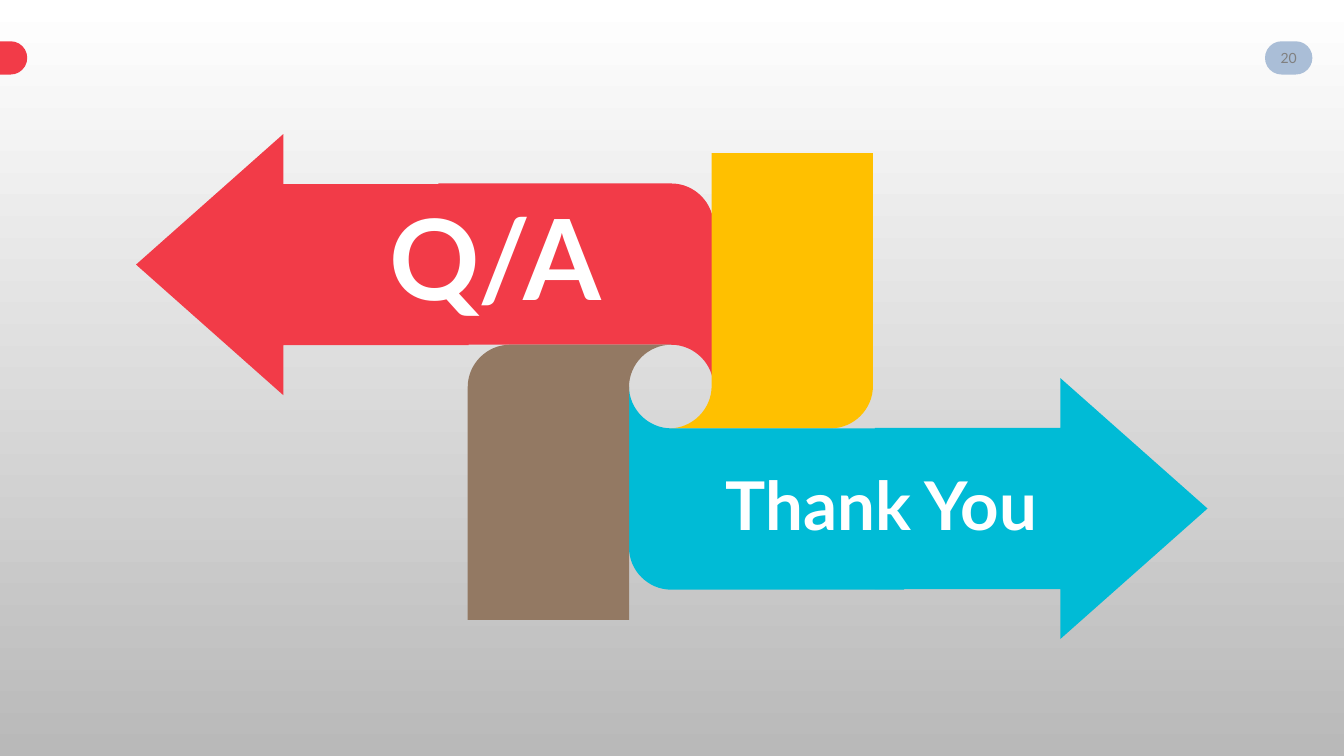
from dataclasses import dataclass
from typing import Optional

import lxml.etree
import pptx
import pptx.dml.color
import pptx.enum.shapes
import pptx.enum.text
import pptx.oxml.ns
import pptx.util

PX = 9144  # EMU per px, 100 px to the inch
SLIDE_SIZE = (12192000, 6858000)  # EMU, 16:9
SHAPE = pptx.enum.shapes.MSO_SHAPE
ALIGN = pptx.enum.text.PP_ALIGN
qn = pptx.oxml.ns.qn


@dataclass(frozen=True)
class Theme:
    red: str = "F23B48"
    yellow: str = "FFC000"
    teal: str = "00BBD6"
    brown: str = "937963"
    badge: str = "AABED7"
    white: str = "FFFFFF"
    number: str = "808080"
    bg_top: str = "FFFFFF"
    bg_bottom: str = "B9B9B9"
    font: str = "Lato"
    huge: int = 80
    large: int = 48
    small: int = 10


@dataclass(frozen=True)
class Box:
    x: int
    y: int
    w: int
    h: int

    def emu(self) -> tuple[int, ...]:
        return tuple(v * PX for v in (self.x, self.y, self.w, self.h))


@dataclass(frozen=True)
class Block:
    kind: SHAPE
    box: Box
    color: str
    adjustments: tuple[float, ...]


@dataclass(frozen=True)
class Ribbon:
    hub: tuple[int, int]
    turns: int  # clockwise quarter turns
    color: str
    arrow: Optional[Block] = None


@dataclass(frozen=True)
class Label:
    text: str
    box: Box
    size: int
    color: str
    align: ALIGN
    bold: bool = True
    line_spacing: float = 0.9
    space_before: float = 7.5


T = Theme()
HOLE, BAND, TAIL = 42, 160, 231  # hole radius, ribbon width, tail length
BEND = 19  # distance from a corner to the control points of its curve
ARROW_ADJ = (0.617, 0.564)

# Ribbon outline around its hub: each segment is a line (1 point) or a curve (3)
OUTER = HOLE + BAND
SEGMENTS = [
    [(-TAIL, -OUTER)],
    [(-TAIL, -HOLE)],
    [(0, -HOLE)],
    [(HOLE - BEND, -HOLE), (HOLE, BEND - HOLE), (HOLE, 0)],
    [(HOLE, -BAND)],
    [(HOLE, BEND - OUTER), (HOLE - BEND, -OUTER), (0, -OUTER)],
]

BLOCKS = [
    Block(SHAPE.ROUNDED_RECTANGLE, Box(1255, 41, 47, 33), T.badge, (0.5,)),
    Block(SHAPE.ROUNDED_RECTANGLE, Box(-45, 41, 72, 33), T.red, (0.5,)),
]
RIBBONS = [
    Ribbon((666, 384), 0, T.red,
           Block(SHAPE.LEFT_ARROW, Box(135, 133, 330, 259), T.red, ARROW_ADJ)),
    Ribbon((664, 383), 1, T.yellow),
    Ribbon((666, 383), 2, T.teal,
           Block(SHAPE.RIGHT_ARROW, Box(868, 375, 330, 259), T.teal, ARROW_ADJ)),
    Ribbon((666, 384), 3, T.brown),
]
LABELS = [
    Label("Q/A", Box(318, 205, 347, 115), T.huge, T.white, ALIGN.CENTER),
    Label("Thank You", Box(720, 443, 356, 124), T.large, T.white, ALIGN.LEFT),
    Label("20", Box(1255, 36, 47, 43), T.small, T.number, ALIGN.CENTER,
          bold=False, line_spacing=1.0, space_before=0),
]


def rgb(color: str) -> pptx.dml.color.RGBColor:
    return pptx.dml.color.RGBColor.from_string(color)


def paint(shape, color: str) -> None:
    shape.shadow.inherit = False
    shape.fill.solid()
    shape.fill.fore_color.rgb = rgb(color)
    shape.line.fill.background()


def add_block(shapes, block: Block) -> None:
    shape = shapes.add_shape(block.kind, *block.box.emu())
    for i, value in enumerate(block.adjustments):
        shape.adjustments[i] = value
    paint(shape, block.color)


def place(point: tuple[int, int], ribbon: Ribbon) -> tuple[int, int]:
    """Turn a point around the hub and return it in EMU."""
    x, y = point
    for _ in range(ribbon.turns):
        x, y = -y, x
    return (ribbon.hub[0] + x) * PX, (ribbon.hub[1] + y) * PX


def add_ribbon(shapes, ribbon: Ribbon) -> None:
    if ribbon.arrow:
        shapes = shapes.add_group_shape().shapes
        add_block(shapes, ribbon.arrow)
    segments = [[place(pt, ribbon) for pt in segment] for segment in SEGMENTS]
    corners = [segment[-1] for segment in segments]
    builder = shapes.build_freeform(*corners[0])
    builder.add_line_segments(corners[1:], close=True)
    shape = builder.convert_to_shape()
    paint(shape, ribbon.color)

    # Round the curved segments
    left, top = (min(values) for values in zip(*corners))
    outline = next(shape.element.iter(qn("a:path")))
    for step, (*controls, _) in zip(list(outline), segments):
        if controls:
            step.tag = qn("a:cubicBezTo")
        for i, (x, y) in enumerate(controls):
            step.insert(i, lxml.etree.Element(qn("a:pt"), x=str(x - left), y=str(y - top)))


def add_label(shapes, label: Label) -> None:
    tf = shapes.add_textbox(*label.box.emu()).text_frame
    tf.word_wrap = True
    tf.vertical_anchor = pptx.enum.text.MSO_ANCHOR.MIDDLE
    tf.margin_left = tf.margin_right = tf.margin_top = tf.margin_bottom = 0
    p = tf.paragraphs[0]
    p.alignment = label.align
    p.line_spacing = label.line_spacing
    p.space_before = pptx.util.Pt(label.space_before)
    r = p.add_run()
    r.text = label.text
    r.font.name = T.font
    r.font.size = pptx.util.Pt(label.size)
    r.font.bold = label.bold
    r.font.color.rgb = rgb(label.color)


def main() -> None:
    prs = pptx.Presentation()
    prs.slide_width, prs.slide_height = SLIDE_SIZE
    s = prs.slides.add_slide(prs.slide_layouts[6])

    # Background gradient, top to bottom
    fill = s.background.fill
    fill.gradient()
    fill.gradient_angle = 270
    for stop, position, color in zip(fill.gradient_stops, (0, 1), (T.bg_top, T.bg_bottom)):
        stop.position = position
        stop.color.rgb = rgb(color)

    # Page badge and edge tab
    for block in BLOCKS:
        add_block(s.shapes, block)

    # Ribbons turning around the hub
    for ribbon in RIBBONS:
        add_ribbon(s.shapes, ribbon)

    # Text
    for label in LABELS:
        add_label(s.shapes, label)

    prs.save("out.pptx")


if __name__ == "__main__":
    main()
